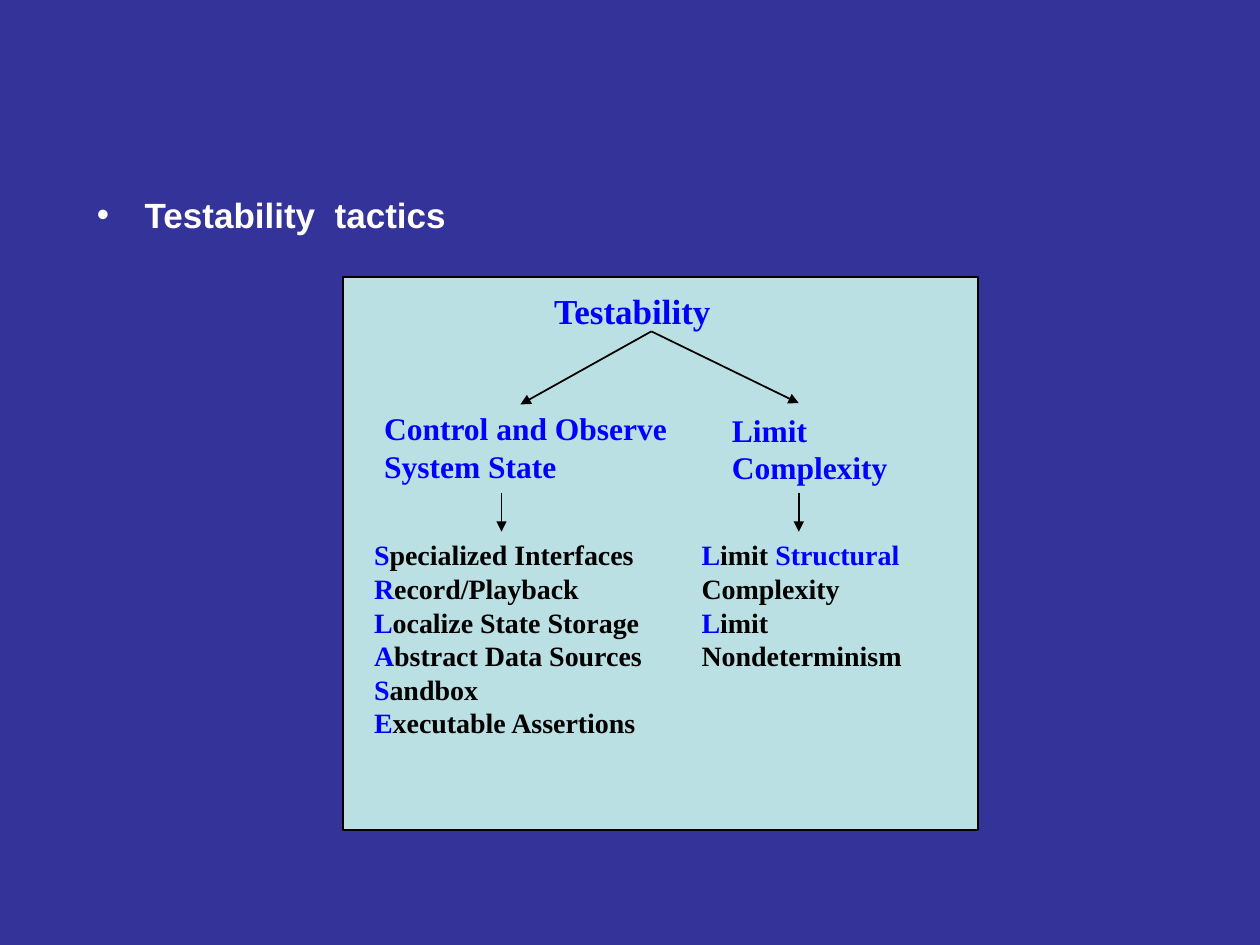
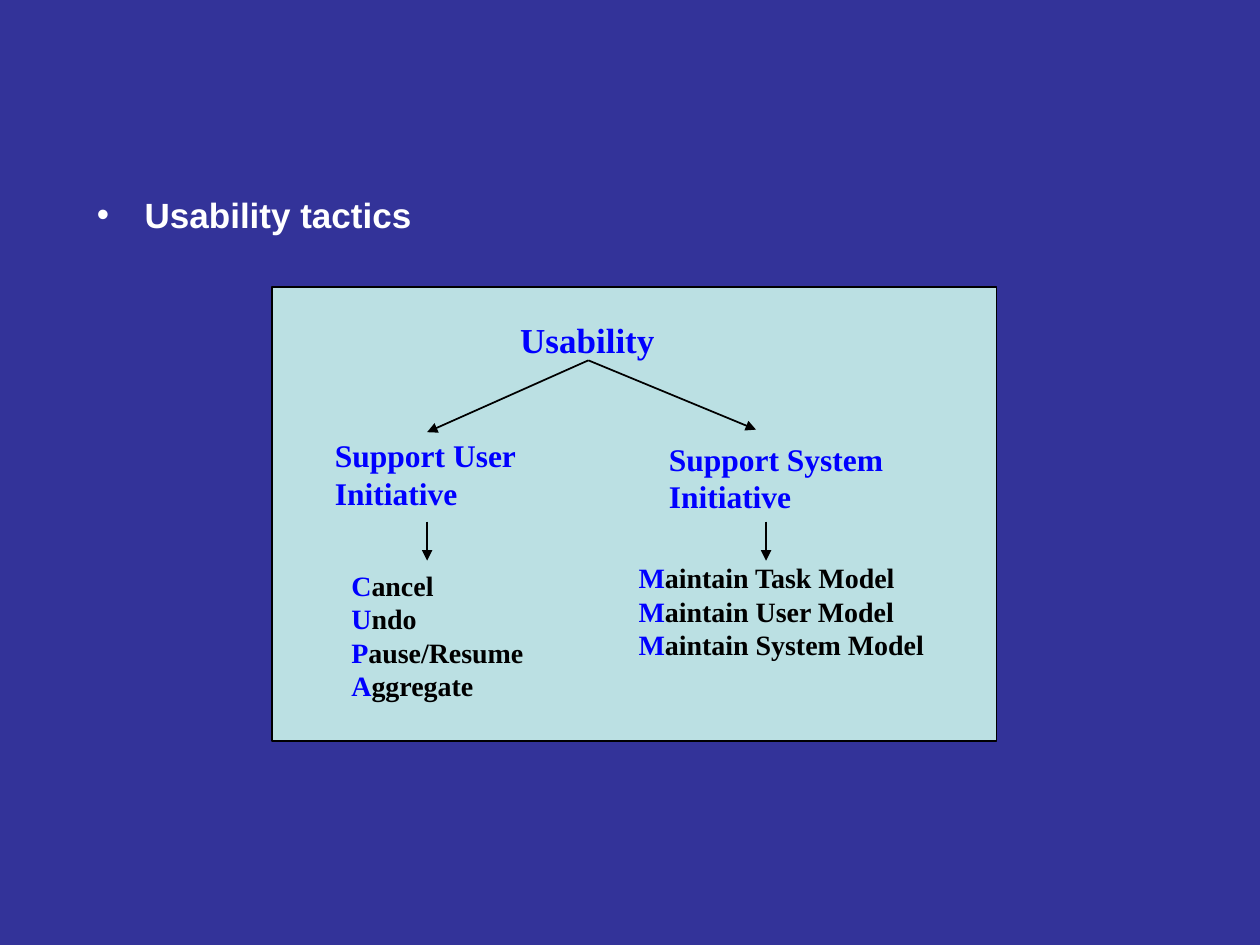
from lxml import etree
from pptx import Presentation
from pptx.dml.color import RGBColor
from pptx.enum.shapes import MSO_CONNECTOR, MSO_SHAPE
from pptx.enum.text import MSO_AUTO_SIZE
from pptx.oxml.ns import qn
from pptx.util import Inches, Pt

STRAIGHT = MSO_CONNECTOR.STRAIGHT
RECTANGLE = MSO_SHAPE.RECTANGLE
GROW = MSO_AUTO_SIZE.SHAPE_TO_FIT_TEXT

COLORS = {"background": "333399", "panel": "BBE0E3", "title": "FFFFFF",
          "accent": "0000FF", "ink": "000000"}
SERIF = "Times New Roman"
STYLES = {
    "title": {"name": "Arial", "size": Pt(20), "bold": True},
    "root": {"name": SERIF, "size": Pt(20), "bold": True},
    "group": {"name": SERIF, "size": Pt(18), "bold": True},
    "tactic": {"name": SERIF, "size": Pt(16), "bold": True},
}
TITLE_BOX = (0.67, 1.55, 9, 4.95)
STEM_LENGTH = 0.31

# Boxes and points inside a panel are relative to its top left corner.
# In the tactics, "|" switches between accent and ink.
TREES = [
    {
        "title": "Testability  tactics",
        "panel": (2.72, 2.2, 5.04, 4.39),
        "root": ("Testability", (1.58, 0.05, 1.88, 0.44)),
        "apex": (2.45, 0.43),
        "stem_top": 1.71,
        "branches": [
            {"group": ("Control and Observe System State", (0.23, 1, 2.52, 0.7)),
             "tip": (1.41, 1.01), "stem_x": 1.26,
             "tactics": (["S|pecialized Interfaces", "R|ecord/Playback",
                          "L|ocalize State Storage", "A|bstract Data Sources",
                          "S|andbox", "E|xecutable Assertions"],
                         (0.15, 2.02, 2.52, 1.7))},
            {"group": ("Limit Complexity", (2.99, 1.01, 1.65, 0.7)),
             "tip": (3.62, 1), "stem_x": 3.62,
             "tactics": (["L|imit |Structural| Complexity", "L|imit Nondeterminism"],
                         (2.75, 2.02, 2.13, 1.17))},
        ],
    },
    {
        "title": "Usability tactics",
        "panel": (2.16, 2.28, 5.75, 3.6),
        "root": ("Usability", (1.87, 0.2, 1.41, 0.44)),
        "apex": (2.51, 0.58),
        "stem_top": 1.86,
        "branches": [
            {"group": ("Support User Initiative", (0.4, 1.13, 2.21, 0.7)),
             "tip": (1.23, 1.15), "stem_x": 1.23,
             "tactics": (["C|ancel", "U|ndo", "P|ause/Resume", "A|ggregate"],
                         (0.53, 2.18, 1.73, 1.17))},
            {"group": ("Support System Initiative", (3.05, 1.16, 1.97, 0.7)),
             "tip": (3.84, 1.13), "stem_x": 3.92,
             "tactics": (["M|aintain Task Model", "M|aintain User Model",
                          "M|aintain System Model"],
                         (2.81, 2.12, 2.53, 0.9))},
        ],
    },
]


def rgb(key):
    return RGBColor.from_string(COLORS[key])


def add_run(p, text, style, color):
    r = p.add_run()
    r.text = text
    for attr, value in STYLES[style].items():
        setattr(r.font, attr, value)
    r.font.color.rgb = rgb(color)


def add_text(s, origin, box, lines, style, colors):
    """Add one paragraph per line, cycling the colours over its "|" parts."""
    x, y, w, h = box
    tb = s.shapes.add_textbox(Inches(origin[0] + x), Inches(origin[1] + y),
                              Inches(w), Inches(h))
    tf = tb.text_frame
    tf.word_wrap = True
    for i, line in enumerate(lines):
        p = tf.paragraphs[0] if i == 0 else tf.add_paragraph()
        for j, part in enumerate(line.split("|")):
            add_run(p, part, style, colors[j % len(colors)])
    return tf


def add_label(s, origin, box, lines, style, colors=("accent",)):
    add_text(s, origin, box, lines, style, colors).auto_size = GROW


def add_arrow(s, origin, start, end):
    ox, oy = origin
    line = s.shapes.add_connector(STRAIGHT, Inches(ox + start[0]), Inches(oy + start[1]),
                                  Inches(ox + end[0]), Inches(oy + end[1]))
    line.line.color.rgb = rgb("ink")
    line.line.width = Pt(1)
    etree.SubElement(line.line._get_or_add_ln(), qn("a:tailEnd"), type="triangle")
    etree.SubElement(line._element.spPr, qn("a:effectLst"))


def add_title(s, text):
    tf = add_text(s, (0, 0), TITLE_BOX, [text], "title", ("title",))
    p = tf.paragraphs[0]
    p.line_spacing = 0.8
    p.space_before = Pt(5)
    # Hanging bullet
    pPr = p._p.get_or_add_pPr()
    pPr.set("marL", str(Inches(0.38)))
    pPr.set("indent", str(Inches(-0.38)))
    etree.SubElement(pPr, qn("a:buFont"), typeface="Arial")
    etree.SubElement(pPr, qn("a:buChar"), char="•")


def add_panel(s, box):
    sp = s.shapes.add_shape(RECTANGLE, *map(Inches, box))
    sp.shadow.inherit = False
    sp.fill.solid()
    sp.fill.fore_color.rgb = rgb("panel")
    sp.line.color.rgb = rgb("ink")
    sp.line.width = Pt(1)


def add_branch(s, origin, branch, apex, stem_top):
    text, box = branch["group"]
    add_label(s, origin, box, [text], "group")
    tactics, box = branch["tactics"]
    add_label(s, origin, box, tactics, "tactic", ("accent", "ink"))
    x = branch["stem_x"]
    add_arrow(s, origin, apex, branch["tip"])
    add_arrow(s, origin, (x, stem_top), (x, stem_top + STEM_LENGTH))


def add_tree_slide(prs, tree):
    s = prs.slides.add_slide(prs.slide_layouts[6])
    s.background.fill.solid()
    s.background.fill.fore_color.rgb = rgb("background")
    add_title(s, tree["title"])
    # Tactics tree
    add_panel(s, tree["panel"])
    origin = tree["panel"][:2]
    text, box = tree["root"]
    add_label(s, origin, box, [text], "root")
    for branch in tree["branches"]:
        add_branch(s, origin, branch, tree["apex"], tree["stem_top"])


def main():
    prs = Presentation()
    prs.slide_width, prs.slide_height = Inches(10), Inches(7.5)
    for tree in TREES:
        add_tree_slide(prs, tree)
    prs.save("out.pptx")


if __name__ == "__main__":
    main()
